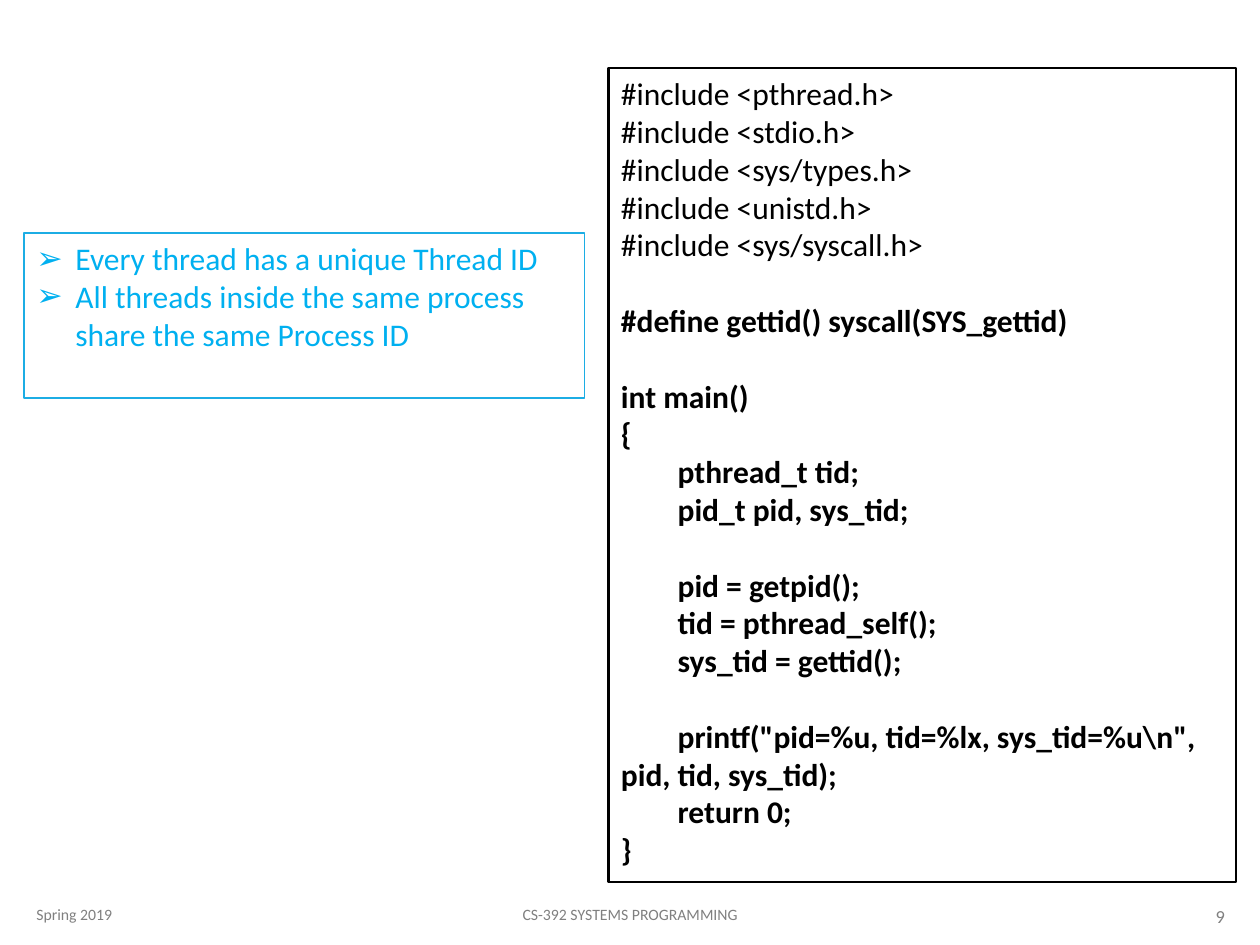
import pptx
import pptx.util
import pptx.dml.color
import pptx.enum.shapes
import pptx.enum.text
import pptx.oxml.ns
import lxml.etree

Inches = pptx.util.Inches
Pt = pptx.util.Pt
ALIGN = pptx.enum.text.PP_ALIGN
ANCHOR = pptx.enum.text.MSO_ANCHOR

FONT = "Calibri"
COLORS = {"black": "000000", "white": "FFFFFF", "gray": "808080",
          "border": "1CADE4", "note": "00B0F0"}
LINE_GAP = 21.6  # one 18 pt line

# Each block is separated from the next by one line: (text, bold, indented)
CODE_BLOCKS = [
    [(f"#include <{h}>", False, False) for h in
     ("pthread.h", "stdio.h", "sys/types.h", "unistd.h", "sys/syscall.h")],
    [("#define gettid() syscall(SYS_gettid)", True, False)],
    [("int main()", True, False), ("{", True, False),
     ("pthread_t tid;", True, True), ("pid_t pid, sys_tid;", True, True)],
    [("pid = getpid();", True, True), ("tid = pthread_self();", True, True),
     ("sys_tid = gettid();", True, True)],
    [('printf("pid=%u, tid=%lx, sys_tid=%u\\n", pid, tid, sys_tid);', True, True),
     ("return 0;", True, True), ("}", True, False)],
]
NOTES = ["Every thread has a unique Thread ID",
         "All threads inside the same process share the same Process ID"]


def rgb(name):
    return pptx.dml.color.RGBColor.from_string(COLORS[name])


def write(p, text, size, color, bold=False, align=ALIGN.LEFT):
    p.text = text
    p.alignment = align
    f = p.runs[0].font
    f.name, f.size, f.bold = FONT, Pt(size), bold
    f.color.rgb = rgb(color)


def set_indent(p, left, first):
    pPr = p._p.get_or_add_pPr()
    pPr.set("marL", str(Inches(left)))
    pPr.set("indent", str(Inches(first)))
    return pPr


def add_bullet(p, char):
    pPr = set_indent(p, 0.31, -0.31)
    for tag, attr, value in (("a:buFont", "typeface", "Wingdings"),
                             ("a:buChar", "char", char)):
        if tag == "a:buFont":
            value = "Arial"
        el = lxml.etree.SubElement(pPr, pptx.oxml.ns.qn(tag))
        el.set(attr, value)


def add_footer(slide, box, text, size, align):
    sp = slide.shapes.add_textbox(*map(Inches, box))
    tf = sp.text_frame
    tf.word_wrap = True
    tf.vertical_anchor = ANCHOR.MIDDLE
    write(tf.paragraphs[0], text, size, "gray", align=align)


def add_panel(slide, box, line, width, fill=None):
    sp = slide.shapes.add_shape(
        pptx.enum.shapes.MSO_SHAPE.RECTANGLE, *map(Inches, box))
    sp.shadow.inherit = False
    if fill:
        sp.fill.solid()
        sp.fill.fore_color.rgb = rgb(fill)
    else:
        sp.fill.background()
    sp.line.color.rgb = rgb(line)
    sp.line.width = Pt(width)
    tf = sp.text_frame
    tf.word_wrap = True
    tf.vertical_anchor = ANCHOR.TOP
    return tf


def add_paragraphs(tf, count):
    return [tf.paragraphs[0]] + [tf.add_paragraph() for _ in range(count - 1)]


def add_code(slide):
    tf = add_panel(slide, (4.83, 0.54, 4.98, 6.46), "black", 1.25, "white")
    paragraphs = iter(add_paragraphs(tf, sum(map(len, CODE_BLOCKS))))
    for b, block in enumerate(CODE_BLOCKS):
        for i, (text, bold, indented) in enumerate(block):
            p = next(paragraphs)
            write(p, text, 18, "black", bold)
            if indented:
                set_indent(p, 0, 0.45)
            if b and i == 0:
                p.space_before = Pt(LINE_GAP)


def add_notes(slide):
    tf = add_panel(slide, (0.19, 1.85, 4.45, 1.31), "border", 0.75)
    for p, text in zip(add_paragraphs(tf, len(NOTES)), NOTES):
        write(p, text, 18, "note")
        add_bullet(p, "\u27a2")


def main():
    prs = pptx.Presentation()
    prs.slide_width, prs.slide_height = Inches(10), Inches(7.5)
    slide = prs.slides.add_slide(prs.slide_layouts[6])

    # Footer
    add_footer(slide, (0.19, 7.06, 2.03, 0.4), "Spring 2019", 9, ALIGN.LEFT)
    add_footer(slide, (3.02, 7.06, 3.96, 0.4), "CS-392 SYSTEMS PROGRAMMING",
               9, ALIGN.CENTER)
    add_footer(slide, (8.74, 7.07, 1.08, 0.4), "9", 10.5, ALIGN.RIGHT)

    # Code listing and remarks
    add_code(slide)
    add_notes(slide)
    prs.save("out.pptx")


main()
